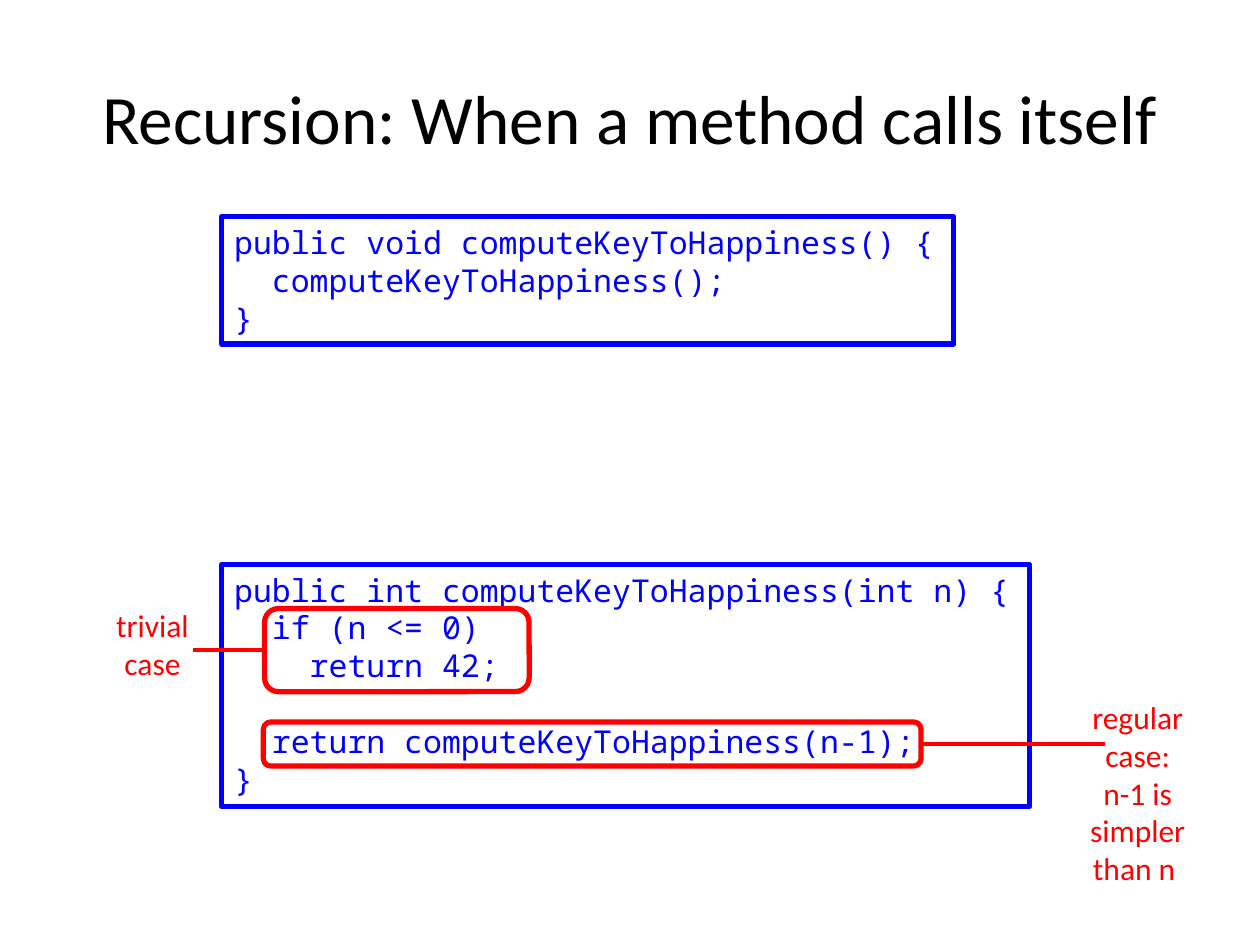
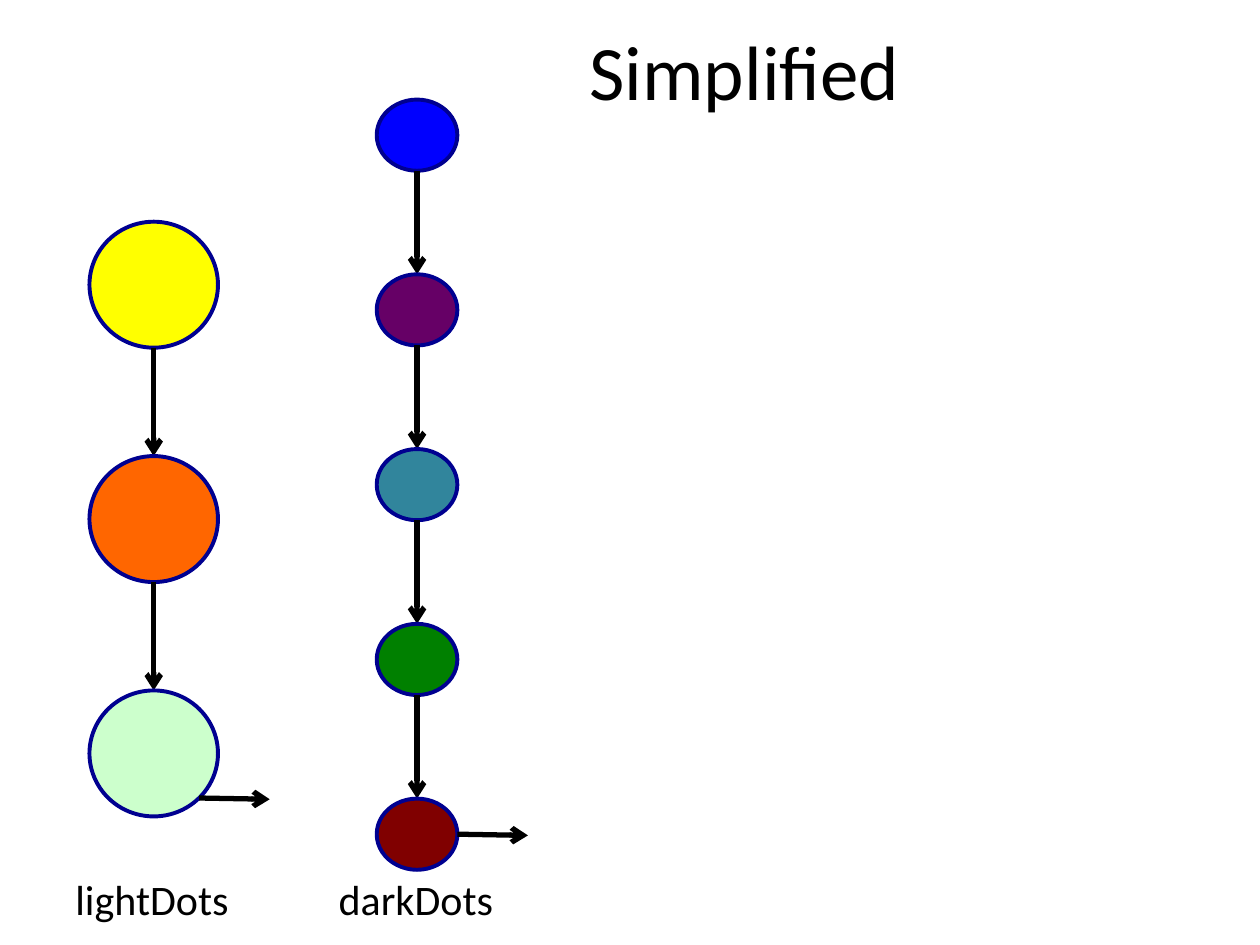
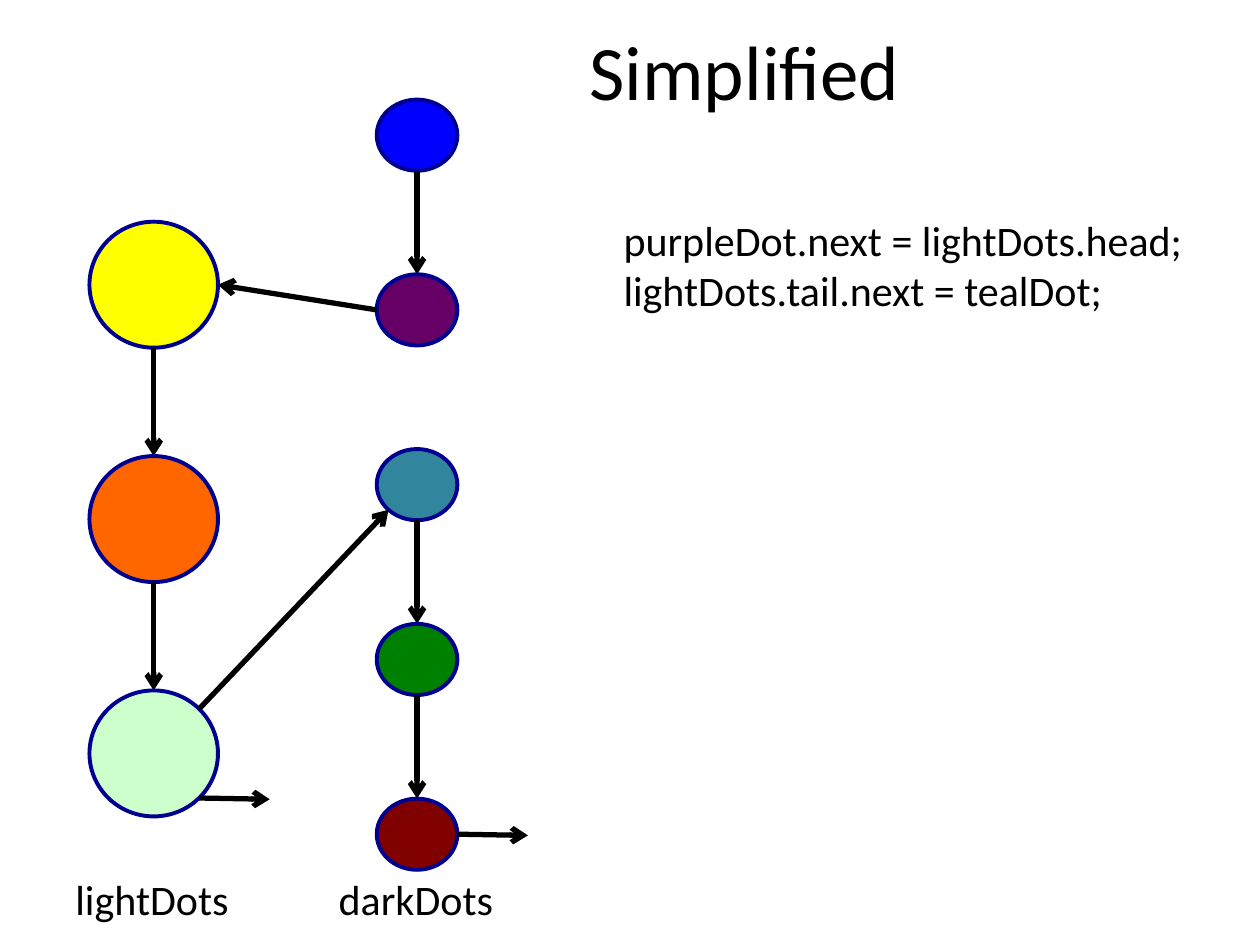
"""Build three slides on recursion and on splicing linked lists of dots."""
import math
from dataclasses import dataclass

from lxml import etree
from pptx import Presentation
from pptx import util as u
from pptx.dml.color import RGBColor
from pptx.enum import shapes, text
from pptx.oxml.ns import qn

COLUMNS, ROWS = 100, 75
BLACK, RED, BLUE, NAVY = "000000", "FF0000", "0000FF", "000090"
SANS, MONO = "Calibri", "Noto Sans Mono"
LEFT_SIDE, RIGHT_SIDE = 1, 3
TITLE_ONLY = 5

deck = Presentation()
deck.slide_width, deck.slide_height = u.Inches(10), u.Inches(7.5)


@dataclass(frozen=True)
class Area:
    """A rectangle in grid columns and rows."""
    left: float
    top: float
    width: float
    height: float

    @property
    def middle(self) -> float:
        """Return the row halfway down."""
        return self.top + self.height / 2

    def lengths(self) -> tuple:
        """Return left, top, width and height as slide lengths."""
        return across(self.left), down(self.top), across(self.width), down(self.height)


@dataclass(frozen=True)
class Chain:
    """A column of linked dots with its label and its last arrow."""
    first: Area
    pitch: float
    colors: tuple
    label: str
    label_area: Area
    tail_angle: float

    def dot(self, index: int) -> Area:
        """Return the area of one dot."""
        top = self.first.top + index * self.pitch
        return Area(self.first.left, top, self.first.width, self.first.height)

    def edge(self, index: int, angle: float) -> tuple:
        """Return the point on a dot's rim, with angles clockwise from the right."""
        area, turn = self.dot(index), math.radians(angle)
        return (area.left + area.width / 2 * (1 + math.cos(turn)),
                area.middle + area.height / 2 * math.sin(turn))


@dataclass(frozen=True)
class Callout:
    """A framed part of the code and the note about it."""
    frame: Area
    note: str
    note_area: Area
    frame_side: int
    line_end: float


LIGHT = Chain(Area(7.1, 17.6, 10.2, 10), 18.6, ("FFFF00", "FF6600", "CCFFCC"),
              "lightDots", Area(5, 68.8, 14.3, 5), 45)
DARK = Chain(Area(29.9, 7.9, 6.4, 5.65), 13.87,
             (BLUE, "660066", "31859C", "008000", "800000"),
             "darkDots", Area(25.9, 68.8, 14.4, 5), 0)
YELLOW_DOT, MINT_DOT, PURPLE_DOT, TEAL_DOT = 0, 2, 1, 2

ENDLESS_CODE = """public void computeKeyToHappiness() {
  computeKeyToHappiness();
}"""
ENDING_CODE = """public int computeKeyToHappiness(int n) {
  if (n <= 0)
    return 42;

  return computeKeyToHappiness(n-1);
}"""
CALLOUTS = (
    Callout(Area(21, 48.3, 21, 6.6), "trivial\ncase",
            Area(8.2, 47.6, 7.8, 7.1), LEFT_SIDE, 15.3),
    Callout(Area(20.9, 57.3, 52.2, 3.5), "regular\ncase:\nn-1 is\nsimpler\nthan n ",
            Area(85.5, 54.9, 9.6, 16.2), RIGHT_SIDE, 87.7),
)


def across(columns: float) -> int:
    """Turn grid columns into a length."""
    return round(deck.slide_width * columns / COLUMNS)


def down(rows: float) -> int:
    """Turn grid rows into a length."""
    return round(deck.slide_height * rows / ROWS)


def color(code: str) -> RGBColor:
    """Turn a hex string into a colour."""
    return RGBColor.from_string(code)


def write(frame, words: str, *, size: float = 24, font: str = SANS, ink: str = BLACK,
          align=text.PP_ALIGN.LEFT, blank_gap: float = 0) -> None:
    """Write one paragraph a line, with an empty line made into space before the next."""
    frame.clear()
    gap, para = 0, None
    for line in words.split("\n"):
        if not line:
            gap = blank_gap
            continue
        para = frame.paragraphs[0] if para is None else frame.add_paragraph()
        para.alignment = align
        if gap:
            para.space_before = u.Pt(gap)
            gap = 0
        span = para.add_run()
        span.text = line
        span.font.size, span.font.name = u.Pt(size), font
        span.font.color.rgb = color(ink)


def add_page(title: str, area: Area, size: float):
    """Add a page with its title placed and formatted."""
    page = deck.slides.add_slide(deck.slide_layouts[TITLE_ONLY])
    box = page.shapes.title
    box.left, box.top, box.width, box.height = area.lengths()
    box.text_frame.auto_size = text.MSO_AUTO_SIZE.NONE
    box.text_frame.vertical_anchor = text.MSO_ANCHOR.MIDDLE
    write(box.text_frame, title, size=size, align=text.PP_ALIGN.CENTER)
    return page


def add_words(page, area: Area, words: str, **look):
    """Add an unwrapped text box."""
    box = page.shapes.add_textbox(*area.lengths())
    box.text_frame.word_wrap = False
    box.text_frame.auto_size = text.MSO_AUTO_SIZE.SHAPE_TO_FIT_TEXT
    write(box.text_frame, words, **look)
    return box


def outline(shape, ink: str, width: float) -> None:
    """Give a shape or line its stroke."""
    shape.line.color.rgb = color(ink)
    shape.line.width = u.Pt(width)


def add_code(page, area: Area, code: str) -> None:
    """Add code in a blue frame."""
    box = add_words(page, area, code, size=18, font=MONO, ink=BLUE, blank_gap=21.7)
    outline(box, BLUE, 3)


def add_outlined(page, kind, area: Area, ink: str, width: float, fill: str = ""):
    """Add a preset shape with a stroke and, if given, a fill."""
    shape = page.shapes.add_shape(kind, *area.lengths())
    shape.shadow.inherit = False
    if fill:
        shape.fill.solid()
        shape.fill.fore_color.rgb = color(fill)
    else:
        shape.fill.background()
    outline(shape, ink, width)
    return shape


def add_line(page, start: tuple, end: tuple, ink: str = BLACK, width: float = 3,
             arrow: bool = True):
    """Add a straight line between grid points, with an arrowhead if wanted."""
    line = page.shapes.add_connector(
        shapes.MSO_CONNECTOR.STRAIGHT,
        across(start[0]), down(start[1]), across(end[0]), down(end[1]))
    outline(line, ink, width)
    properties = line._element.spPr
    if arrow:
        etree.SubElement(properties.find(qn("a:ln")), qn("a:tailEnd"), type="arrow")
    etree.SubElement(properties, qn("a:effectLst"))
    return line


def add_callout(page, callout: Callout) -> None:
    """Frame a part of the code and tie a note to it."""
    frame = add_outlined(page, shapes.MSO_SHAPE.ROUNDED_RECTANGLE, callout.frame, RED, 3)
    add_words(page, callout.note_area, callout.note, size=18, ink=RED,
              align=text.PP_ALIGN.CENTER)
    side = callout.frame.left
    if callout.frame_side == RIGHT_SIDE:
        side += callout.frame.width
    row = callout.frame.middle
    line = add_line(page, (side, row), (callout.line_end, row), RED, 2, arrow=False)
    line.begin_connect(frame, callout.frame_side)


def add_chain(page, chain: Chain, unlinked: tuple = ()) -> None:
    """Draw the dots, their links, the last arrow and the label."""
    last = len(chain.colors) - 1
    for index, fill in enumerate(chain.colors):
        add_outlined(page, shapes.MSO_SHAPE.OVAL, chain.dot(index), NAVY, 2.25, fill)
        if index < last and index not in unlinked:
            add_line(page, chain.edge(index, 90), chain.edge(index + 1, -90))
    column, row = chain.edge(last, chain.tail_angle)
    add_line(page, (column, row), (column + 5.6, row + 0.1))
    add_words(page, chain.label_area, chain.label)


def add_dots_page(unlinked: tuple = ()):
    """Add a page with both chains."""
    page = add_page("Simplified", Area(28, -0.7, 62.2, 12.5), 44)
    add_chain(page, LIGHT)
    add_chain(page, DARK, unlinked)
    return page


def main() -> None:
    """Build and save the deck."""
    recursion = add_page("Recursion: When a method calls itself", Area(5, 3, 90, 12.5), 39.6)
    add_code(recursion, Area(17.6, 17.2, 58.1, 10.1), ENDLESS_CODE)
    add_code(recursion, Area(17.6, 44.8, 64.1, 19.2), ENDING_CODE)
    for callout in CALLOUTS:
        add_callout(recursion, callout)

    add_dots_page()

    spliced = add_dots_page(unlinked=(PURPLE_DOT,))
    add_words(spliced, Area(48.5, 16.5, 46.9, 9.1),
              "purpleDot.next = lightDots.head;\nlightDots.tail.next = tealDot;")
    add_line(spliced, DARK.edge(PURPLE_DOT, 180), LIGHT.edge(YELLOW_DOT, 0))
    add_line(spliced, LIGHT.edge(MINT_DOT, -45), DARK.edge(TEAL_DOT, 135))

    deck.save("out.pptx")


if __name__ == "__main__":
    main()
